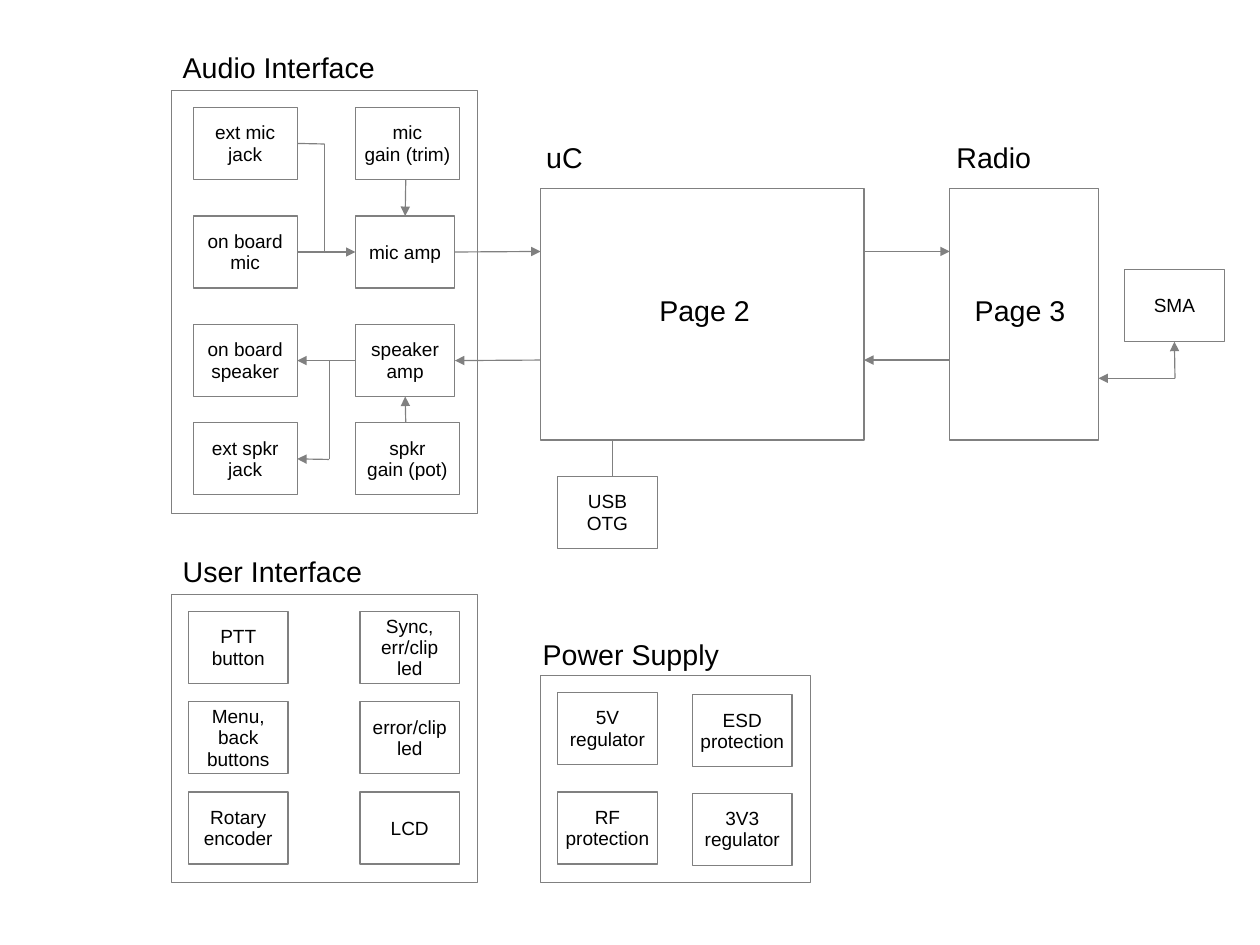
from lxml import etree
from pptx import Presentation
from pptx.dml.color import RGBColor
from pptx.enum.shapes import MSO_CONNECTOR, MSO_SHAPE
from pptx.enum.text import MSO_ANCHOR, PP_ALIGN
from pptx.oxml.ns import qn
from pptx.util import Cm, Inches, Pt

RECT, STRAIGHT = MSO_SHAPE.RECTANGLE, MSO_CONNECTOR.STRAIGHT
CENTER, ALIGN_LEFT = PP_ALIGN.CENTER, PP_ALIGN.LEFT
MIDDLE, ANCHOR_TOP = MSO_ANCHOR.MIDDLE, MSO_ANCHOR.TOP
TOP, LEFT, BOTTOM, RIGHT = range(4)
BLACK = RGBColor(0, 0, 0)
WHITE = RGBColor(255, 255, 255)
GRAY = RGBColor(128, 128, 128)

SLIDE_W, SLIDE_H = Cm(28), Cm(21)
BOX_H, NARROW, WIDE = 0.63, 0.87, 0.91
MIC_Y, SPEAKER_Y, EXT_SPEAKER_Y, EXT_MIC_Y = 2.2, 3.15, 4.02, 1.26
AMP_X, USB_X, SMA_X, ANTENNA_Y = 3.55, 5.36, 10.28, 3.31
MIC_BRANCH_X, SPEAKER_BRANCH_X = 2.84, 2.88
HEADING_H = 0.38

# left, top, width, height
FRAMES = [
    (1.5, 0.79, 2.68, 3.7),
    (1.5, 5.2, 2.68, 2.52),
    (4.73, 5.91, 2.36, 1.81),
    (4.73, 1.65, 2.83, 2.2),
    (8.31, 1.65, 1.3, 2.2),
]

# text, left, top, width
HEADINGS = [
    ("Audio Interface", 1.5, 0.39, 1.88),
    ("User Interface", 1.5, 4.8, 1.77),
    ("Power Supply", 4.65, 5.53, 1.74),
    ("uC", 4.68, 1.18, 0.52),
    ("Radio", 8.27, 1.18, 0.86),
    ("Page 2", 5.67, 2.52, 1.1),
    ("Page 3", 8.43, 2.52, 1.1),
]

# left, width, first top, row pitch, labels (\v breaks a line, \n a paragraph)
STACKS = [
    (1.69, WIDE, 0.94, 0.95, ["ext mic\vjack", "on board\vmic", "on board\vspeaker"]),
    (1.69, WIDE, 3.7, 0, ["ext spkr\vjack"]),
    (3.11, WIDE, 0.94, 2.76, ["mic\vgain (trim)", "spkr\vgain (pot)"]),
    (3.11, NARROW, 1.89, 0.95, ["mic amp", "speaker\vamp"]),
    (1.65, NARROW, 5.35, 0.79,
     ["PTT\vbutton", "Menu,\nback\vbuttons", "Rotary\nencoder"]),
    (3.15, NARROW, 5.35, 0.79, ["Sync,\nerr/clip\vled", "error/clip\vled", "LCD"]),
    (4.88, NARROW, 6.06, 0.87, ["5V\nregulator", "RF\vprotection"]),
    (6.06, NARROW, 6.08, 0.86, ["ESD\vprotection", "3V3\nregulator"]),
    (4.88, NARROW, 4.17, 0, ["USB\vOTG"]),
    (9.84, NARROW, 2.36, 0, ["SMA"]),
]

# An end is a point (x, y) or a (box label, side) to join
ARROWS = [
    (("on board mic", RIGHT), ("mic amp", LEFT)),
    (("speaker amp", LEFT), ("on board speaker", RIGHT)),
    ((SPEAKER_BRANCH_X, EXT_SPEAKER_Y), ("ext spkr jack", RIGHT)),
    ((AMP_X, 1.57), ("mic amp", TOP)),
    ((AMP_X, 3.7), ("speaker amp", BOTTOM)),
    (("mic amp", RIGHT), (4.73, MIC_Y)),
    ((4.73, SPEAKER_Y), ("speaker amp", RIGHT)),
    ((7.56, MIC_Y), (8.31, MIC_Y)),
    ((8.31, SPEAKER_Y), (7.56, SPEAKER_Y)),
    ((SMA_X, ANTENNA_Y), ("SMA", BOTTOM)),
    ((SMA_X, ANTENNA_Y), (9.61, ANTENNA_Y)),
]
PLAIN_LINES = [
    (("ext mic jack", RIGHT), (MIC_BRANCH_X, EXT_MIC_Y)),
    ((MIC_BRANCH_X, EXT_MIC_Y), (MIC_BRANCH_X, MIC_Y)),
    ((SPEAKER_BRANCH_X, SPEAKER_Y), (SPEAKER_BRANCH_X, EXT_SPEAKER_Y)),
    ((USB_X, 4.17), (USB_X, 3.85)),
]


def write(s, text, size, align, anchor, inset_top):
    tf = s.text_frame
    tf.text = text
    tf.word_wrap = False
    tf.vertical_anchor = anchor
    tf.margin_left = tf.margin_right = Inches(0.1)
    tf.margin_top, tf.margin_bottom = Inches(inset_top), Inches(0.05)
    for p in tf.paragraphs:
        p.alignment = align
        p.line_spacing = 0.93
        p.font.name, p.font.size = "Arial", Pt(size)
        p.font.color.rgb = BLACK


def add_rect(shapes, left, top, width, height):
    s = shapes.add_shape(RECT, *map(Inches, (left, top, width, height)))
    s.shadow.inherit = False
    s.fill.background()
    s.line.color.rgb = GRAY
    s.line.width = Pt(0.75)
    return s


def add_line(shapes, boxes, start, end, arrow):
    c = shapes.add_connector(STRAIGHT, 0, 0, 0, 0)
    if start[0] in boxes:
        c.begin_connect(boxes[start[0]], start[1])
    else:
        c.begin_x, c.begin_y = map(Inches, start)
    if end[0] in boxes:
        c.end_connect(boxes[end[0]], end[1])
    else:
        c.end_x, c.end_y = map(Inches, end)
    c.line.color.rgb = GRAY
    c.line.width = Pt(0.75)
    props = c._element.spPr
    if arrow:
        etree.SubElement(props.find(qn("a:ln")), qn("a:tailEnd"), type="triangle")
    etree.SubElement(props, qn("a:effectLst"))


def main():
    prs = Presentation()
    prs.slide_width, prs.slide_height = SLIDE_W, SLIDE_H
    shapes = prs.slides.add_slide(prs.slide_layouts[6]).shapes

    for frame in FRAMES:
        add_rect(shapes, *frame)

    boxes = {}
    for left, width, top, pitch, labels in STACKS:
        for row, label in enumerate(labels):
            s = add_rect(shapes, left, top + row * pitch, width, BOX_H)
            s.fill.solid()
            s.fill.fore_color.rgb = WHITE
            write(s, label, 12, CENTER, MIDDLE, 0.06)
            boxes[" ".join(label.split())] = s

    for lines, arrow in ((PLAIN_LINES, False), (ARROWS, True)):
        for start, end in lines:
            add_line(shapes, boxes, start, end, arrow)

    for text, left, top, width in HEADINGS:
        s = shapes.add_textbox(*map(Inches, (left, top, width, HEADING_H)))
        write(s, text, 18, ALIGN_LEFT, ANCHOR_TOP, 0.07)

    prs.save("out.pptx")


if __name__ == "__main__":
    main()
